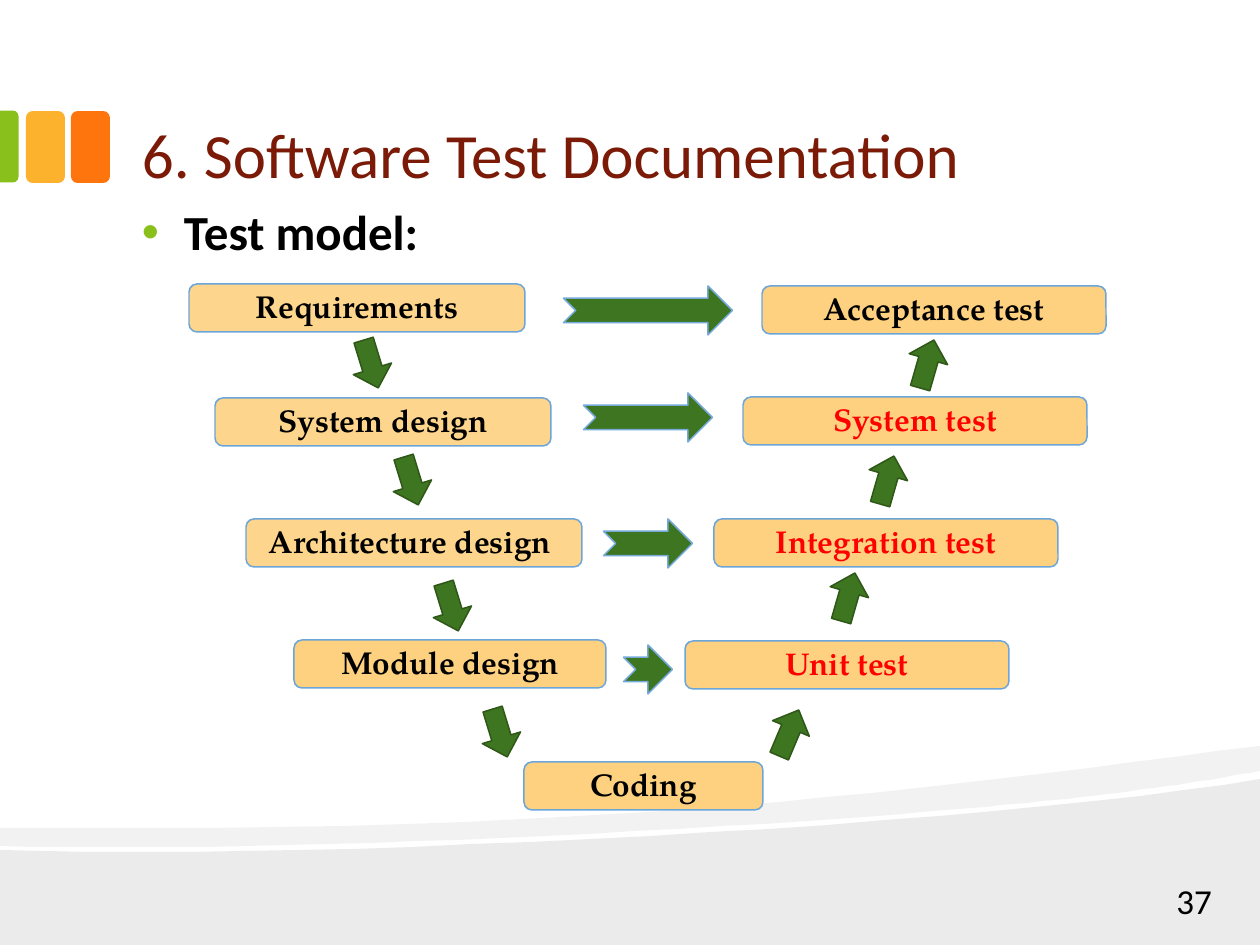
from lxml import etree
from pptx import Presentation
from pptx.dml.color import RGBColor
from pptx.enum.shapes import MSO_SHAPE as Preset
from pptx.enum.text import MSO_ANCHOR as Anchor, PP_ALIGN as Align
from pptx.oxml.ns import qn
from pptx.util import Pt

PX = 914400 / 126
BLACK, RED, MAROON = "000000", "FF0000", "7A1A07"
LIME, AMBER, ORANGE = "89C01C", "FCB22C", "FE750E"
SAND, GREEN, DARK_GREEN = "FDD180", "3E7520", "2E5718"
BOX_EDGE, ARROW_EDGE = "6CA5D8", "74A9DA"


def emu(px):
    return round(px * PX)


def color(value):
    return RGBColor.from_string(value)


def bezier(start, c1, c2, end, steps=24):
    """Points of a cubic curve, without its start."""
    points = []
    for step in range(1, steps + 1):
        t = step / steps
        u = 1 - t
        points.append(tuple(u**3 * a + 3 * u * u * t * b + 3 * u * t * t * c + t**3 * d
                            for a, b, c, d in zip(start, c1, c2, end)))
    return points


class Deck:
    text_font = "Calibri"
    box_font = "TeX Gyre Pagella"
    edge_width = 0.85

    def __init__(self, width, height):
        self.prs = Presentation()
        self.prs.slide_width, self.prs.slide_height = emu(width), emu(height)
        self.slide = self.prs.slides.add_slide(self.prs.slide_layouts[6])

    def paint(self, shape, fill, edge=None, opacity=100):
        shape.shadow.inherit = False
        shape.fill.solid()
        shape.fill.fore_color.rgb = color(fill)
        if opacity < 100:
            srgb = shape._element.spPr.find(qn("a:solidFill"))[0]
            etree.SubElement(srgb, qn("a:alpha")).set("val", str(opacity * 1000))
        if edge:
            shape.line.color.rgb = color(edge)
            shape.line.width = Pt(self.edge_width)
        else:
            shape.line.fill.background()

    def shape(self, preset, x, y, w, h, fill, edge=None, rotation=0, opacity=100):
        shape = self.slide.shapes.add_shape(preset, emu(x), emu(y), emu(w), emu(h))
        shape.rotation = rotation
        self.paint(shape, fill, edge, opacity)
        return shape

    def wave(self, points, opacity):
        builder = self.slide.shapes.build_freeform(*points[0], scale=PX)
        builder.add_line_segments(points[1:])
        self.paint(builder.convert_to_shape(), BLACK, opacity=opacity)

    def set_text(self, shape, words, size, ink, font, bold=False, align=Align.LEFT,
                 anchor=Anchor.MIDDLE, inset=(16, 9), spacing=1.0, bullet=None):
        frame = shape.text_frame
        frame.word_wrap = True
        frame.vertical_anchor = anchor
        frame.margin_left = frame.margin_right = emu(inset[0])
        frame.margin_top = frame.margin_bottom = emu(inset[1])
        paragraph = frame.paragraphs[0]
        paragraph.text = words
        paragraph.alignment = align
        paragraph.line_spacing = spacing
        if bullet:
            props = paragraph._p.get_or_add_pPr()
            props.set("marL", str(emu(42)))
            props.set("indent", str(-emu(42)))
            tint = etree.SubElement(props, qn("a:buClr"))
            etree.SubElement(tint, qn("a:srgbClr")).set("val", bullet)
            etree.SubElement(props, qn("a:buFont")).set("typeface", "Arial")
            etree.SubElement(props, qn("a:buChar")).set("char", "•")
        paragraph.font.name = font
        paragraph.font.size = Pt(size)
        paragraph.font.bold = bold
        paragraph.font.color.rgb = color(ink)

    def text(self, x, y, w, h, words, size, ink=BLACK, **style):
        holder = self.slide.shapes.add_textbox(emu(x), emu(y), emu(w), emu(h))
        self.set_text(holder, words, size, ink, self.text_font, **style)

    def phase(self, x, y, w, words, ink=BLACK, opacity=100):
        box = self.shape(Preset.ROUNDED_RECTANGLE, x, y, w, 48, SAND, BOX_EDGE,
                         opacity=opacity)
        self.set_text(box, words, 18, ink, self.box_font, bold=True,
                      align=Align.CENTER, inset=(9, 9), spacing=0.9)

    def step_arrow(self, x, y, rotation):
        self.shape(Preset.DOWN_ARROW, x, y, 40, 50, GREEN, DARK_GREEN, rotation)

    def match_arrow(self, center, y, w):
        self.shape(Preset.NOTCHED_RIGHT_ARROW, center - w / 2, y, w, 49,
                   GREEN, ARROW_EDGE)


def add_background(deck):
    deck.wave([(1260, 779), (1260, 945), (0, 945), (0, 850)]
              + bezier((0, 850), (333, 861), (985, 825), (1260, 779)), 8)
    deck.wave([(1260, 746), (1260, 771)]
              + bezier((1260, 771), (1187, 785), (1086, 798), (973, 808))
              + bezier((973, 808), (659, 835), (243, 853), (0, 846))
              + [(0, 828)]
              + bezier((0, 828), (616, 834), (917, 790), (1260, 746)), 5)
    for x, fill in ((71, ORANGE), (26, AMBER)):
        deck.shape(Preset.ROUNDED_RECTANGLE, x, 111, 39, 72, fill)
    tab = deck.shape(Preset.ROUND_2_SAME_RECTANGLE, -27, 137, 72, 19, LIME, rotation=90)
    tab.adjustments[0] = 0.29


def add_v_model(deck):
    designs = [(189, 284, 336, "Requirements", 90),
               (215, 398, 336, "System design", 90),
               (246, 519, 336, "Architecture design ", 90),
               (294, 640, 312, "Module design", 100),
               (524, 762, 239, "Coding", 100)]
    tests = [(762, 286, 344, "Acceptance test", BLACK),
             (743, 397, 344, "System test", RED),
             (714, 519, 344, "Integration test", RED),
             (685, 641, 324, "Unit test", RED)]
    for x, y, w, words, opacity in designs:
        deck.phase(x, y, w, words, opacity=opacity)
    for x, y, w, words, ink in tests:
        deck.phase(x, y, w, words, ink)

    for x, y in ((351, 339), (391, 456), (431, 582), (480, 708)):
        deck.step_arrow(x, y, 343)
    for x, y, rotation in ((907, 339, 196), (867, 455, 196),
                           (828, 572, 196), (769, 708, 203)):
        deck.step_arrow(x, y, rotation)
    for row, y in enumerate((286, 393, 519, 645)):
        deck.match_arrow(648, y, 169 - 40 * row)


def main():
    deck = Deck(1260, 945)
    add_background(deck)
    deck.text(126, 21, 1008, 179, "6. Software Test Documentation", 36, MAROON,
              anchor=Anchor.BOTTOM)
    deck.text(126, 199, 1008, 73, "Test model:", 28, bold=True,
              anchor=Anchor.TOP, spacing=0.9, bullet=LIME)
    deck.text(1144, 888, 84, 25, "37", 20, align=Align.RIGHT)
    add_v_model(deck)
    deck.prs.save("out.pptx")


if __name__ == "__main__":
    main()
